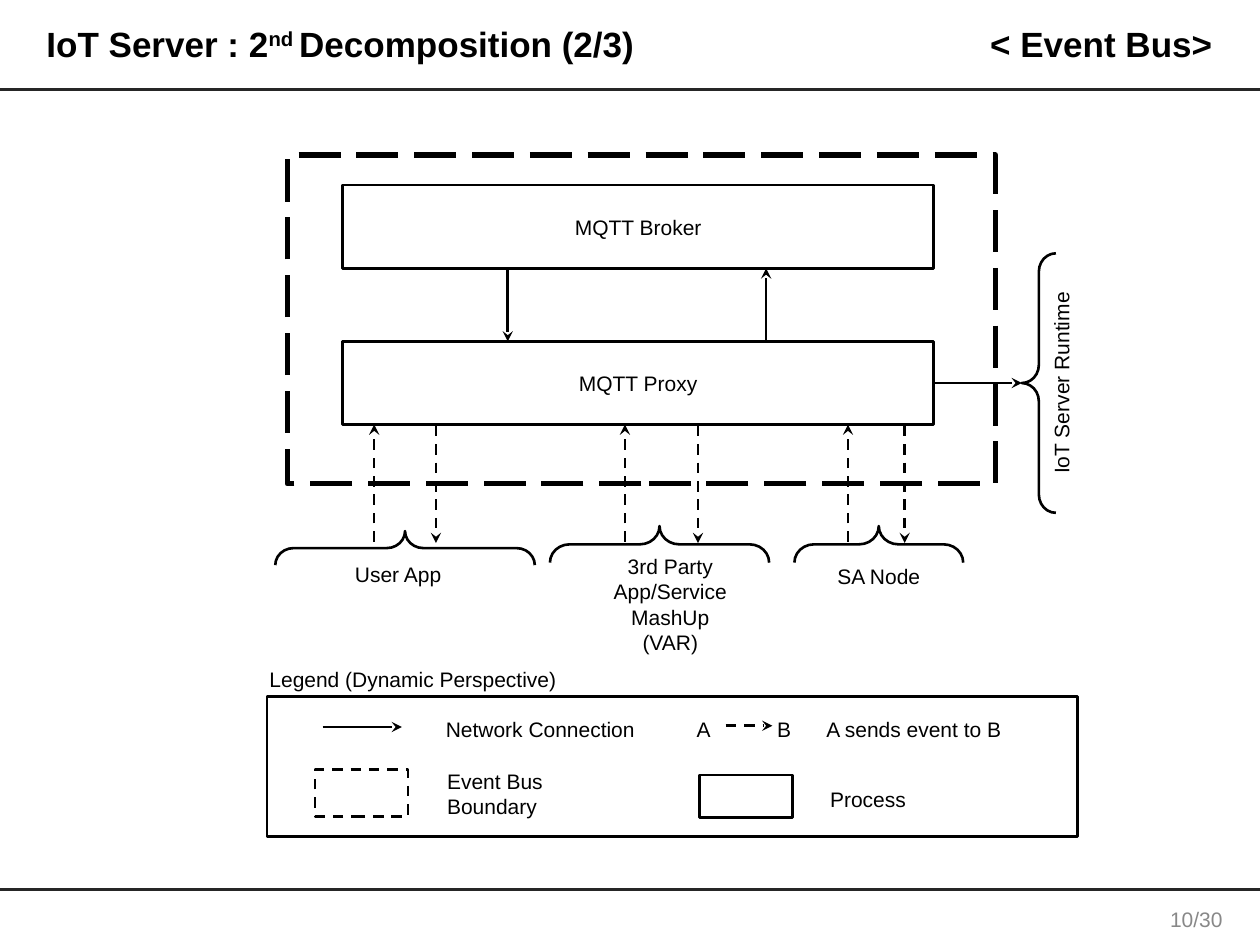
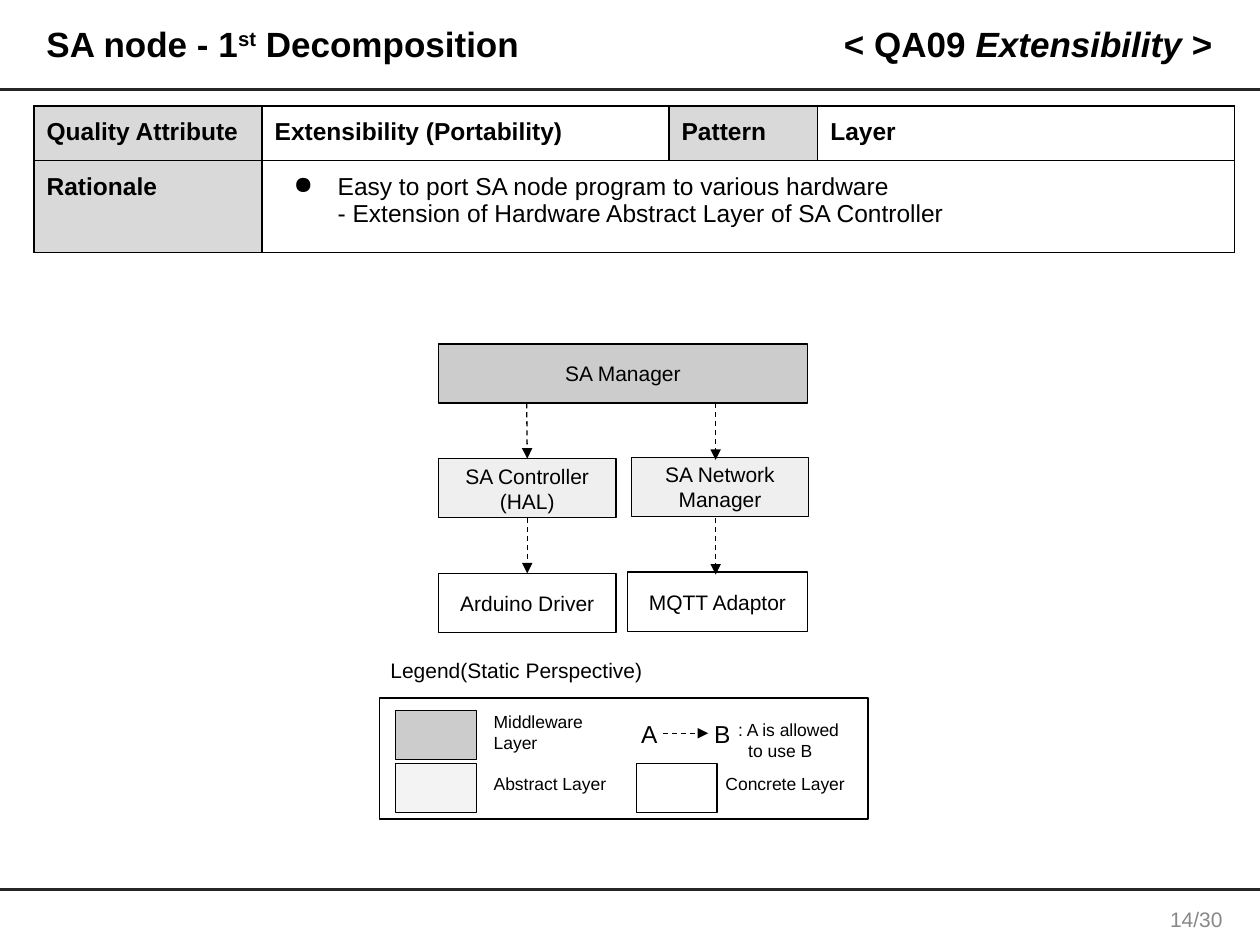
from lxml.etree import SubElement
from pptx import Presentation
from pptx.dml.color import RGBColor
from pptx.enum.dml import MSO_LINE
from pptx.enum.shapes import MSO_CONNECTOR, MSO_SHAPE
from pptx.enum.text import MSO_ANCHOR, PP_ALIGN
from pptx.oxml.ns import qn
from pptx.util import Inches, Pt

FONT = "Arial"
BLACK, WHITE, RULE, FOOTER = "000000", "FFFFFF", "262626", "888888"
MIDDLEWARE, ABSTRACT, ABSTRACT_KEY, HEADING = "CCCCCC", "EFEFEF", "F3F3F3", "D9D9D9"
LEFT, CENTER, RIGHT = PP_ALIGN.LEFT, PP_ALIGN.CENTER, PP_ALIGN.RIGHT
BOTTOM_SIDE, RIGHT_SIDE, TOP_SIDE = 2, 3, 0


def color(value):
    return RGBColor.from_string(value)


def inches(*values):
    return [Inches(value) for value in values]


def indent(para, left, first=0, bullet=None):
    """Indent a paragraph and give it a bullet if one is named."""
    props = para._p.get_or_add_pPr()
    props.set("marL", str(Inches(left)))
    props.set("indent", str(Inches(first)))
    if bullet:
        mark = SubElement(props, qn("a:buChar"))
        mark.set("char", bullet)
        defaults = props.find(qn("a:defRPr"))
        if defaults is not None:
            defaults.addprevious(mark)


class Sketch:
    """Holds the drawing style and the current slide."""

    def __init__(self, deck, line_width):
        self.line_width = line_width
        self.page = deck.slides.add_slide(deck.slide_layouts[6])

    # Frame shared by all slides
    def frame(self, title, topic, number):
        for y in (0.71, 7.06):
            self.line((0, y), (10, y), RULE, 1.75)
        self.title(0.27, 6.18, title, LEFT)
        self.title(6.5, 3.22, topic, RIGHT)
        self.text(9.11, 7.14, 0.77, 0.31, number, align=CENTER,
                  anchor=MSO_ANCHOR.MIDDLE, ink=FOOTER)

    def title(self, left, width, spans, align):
        box = self.text(left, 0.1, width, 0.53, "", 20, align, MSO_ANCHOR.MIDDLE, bold=True)
        para = box.text_frame.paragraphs[0]
        para.line_spacing = 0.9
        for words, style in spans:
            span = para.add_run()
            span.text = words
            if style == "super":
                span.font._element.set("baseline", "30000")
            elif style == "italic":
                span.font.italic = True

    # Text
    def set_text(self, frame, text, size, align, ink=BLACK, bold=False):
        """Each item of a list is a paragraph; a newline is a line break."""
        paragraphs = [text] if isinstance(text, str) else text
        for index, words in enumerate(paragraphs):
            para = frame.add_paragraph() if index else frame.paragraphs[0]
            para.text = words
            para.alignment = align
            font = para.font
            font.name, font.size, font.bold = FONT, Pt(size), bold
            font.color.rgb = color(ink)

    def fill_frame(self, frame, anchor, *args):
        frame.word_wrap = True
        frame.vertical_anchor = anchor
        frame.margin_left = frame.margin_right = Inches(0.1)
        frame.margin_top = frame.margin_bottom = Inches(0.1)
        self.set_text(frame, *args)

    def text(self, left, top, width, height, text, size=12, align=LEFT,
             anchor=MSO_ANCHOR.TOP, ink=BLACK, bold=False):
        box = self.page.shapes.add_textbox(*inches(left, top, width, height))
        self.fill_frame(box.text_frame, anchor, text, size, align, ink, bold)
        return box

    # Shapes
    def shape(self, preset, place, fill, width, dash=None):
        shape = self.page.shapes.add_shape(preset, *inches(*place))
        shape.shadow.inherit = False
        if fill:
            shape.fill.solid()
            shape.fill.fore_color.rgb = color(fill)
        else:
            shape.fill.background()
        self.stroke(shape.line, BLACK, width, dash)
        return shape

    def box(self, left, top, width, height, text="", fill=WHITE, dash=None, line_width=None):
        box = self.shape(MSO_SHAPE.RECTANGLE, (left, top, width, height), fill,
                         line_width or self.line_width, dash)
        if text:
            self.fill_frame(box.text_frame, MSO_ANCHOR.MIDDLE, text, 12, CENTER)
        return box

    def label(self, left, top, width, height, text, rotation=0):
        label = self.text(left, top, width, height, text, 12, CENTER, MSO_ANCHOR.MIDDLE)
        label.rotation = rotation

    def brace(self, left, top, width, height, rotation):
        brace = self.shape(MSO_SHAPE.RIGHT_BRACE, (left, top, width, height),
                           None, self.line_width)
        brace.adjustments[0] = 0.536
        brace.rotation = rotation

    # Lines
    def stroke(self, line, ink, width, dash=None):
        line.color.rgb = color(ink)
        line.width = Pt(width)
        if dash:
            line.dash_style = dash

    def line(self, start, end, ink=BLACK, width=None, dash=None):
        line = self.page.shapes.add_connector(MSO_CONNECTOR.STRAIGHT, *inches(*start, *end))
        self.stroke(line.line, ink, width or self.line_width, dash)
        SubElement(line._element.spPr, qn("a:effectLst"))
        return line

    def arrow(self, start, end, dashed=True, head="stealth"):
        arrow = self.line(start, end, dash=MSO_LINE.DASH if dashed else None)
        outline = arrow._element.spPr.find(qn("a:ln"))
        SubElement(outline, qn("a:tailEnd")).set("type", head)
        return arrow

    # Table
    def table(self, left, top, columns, rows, values):
        place = inches(left, top, sum(columns), sum(rows))
        table = self.page.shapes.add_table(len(rows), len(columns), *place).table
        table.first_row = table.horz_banding = False
        for column, width in zip(table.columns, columns):
            column.width = Inches(width)
        for row, height, texts in zip(table.rows, rows, values):
            row.height = Inches(height)
            for cell, (text, fill, bold) in zip(row.cells, texts):
                self.border(cell)
                cell.fill.solid()
                cell.fill.fore_color.rgb = color(fill)
                cell.margin_top = cell.margin_bottom = Inches(0.1)
                cell.margin_left = cell.margin_right = Inches(0.1)
                self.set_text(cell.text_frame, text, 14, LEFT, BLACK, bold)
        return table

    def border(self, cell):
        props = cell._tc.get_or_add_tcPr()
        for side in ("a:lnL", "a:lnR", "a:lnT", "a:lnB"):
            edge = SubElement(props, qn(side))
            edge.set("w", str(Pt(1)))
            solid = SubElement(edge, qn("a:solidFill"))
            SubElement(solid, qn("a:srgbClr")).set("val", BLACK)


def event_bus(deck):
    sketch = Sketch(deck, 1.5)
    sketch.frame([("IoT Server : 2", ""), ("nd ", "super"), ("Decomposition (2/3)", "")],
                 [("< Event Bus>", "")], "10/30")

    # Event bus with its two processes
    sketch.box(2.28, 1.23, 5.62, 2.61, fill=None, dash=MSO_LINE.LONG_DASH, line_width=3)
    sketch.box(2.72, 1.47, 4.69, 0.66, "MQTT Broker")
    proxy = sketch.box(2.72, 2.71, 4.69, 0.66, "MQTT Proxy")
    sketch.arrow((4.03, 2.13), (4.03, 2.71), dashed=False)
    sketch.arrow((6.08, 2.71), (6.08, 2.13), dashed=False)

    # Clients below
    sketch.label(1.9, 4.23, 2.52, 0.66, "User App")
    sketch.label(4.71, 4.4, 1.22, 0.79, "3rd Party App/Service MashUp\n(VAR)")
    sketch.label(6.41, 4.24, 1.13, 0.66, "SA Node")
    for left, top, width, height in ((3.08, 3.32, 0.27, 2.06), (5.09, 3.45, 0.29, 1.74),
                                     (6.83, 3.65, 0.29, 1.34)):
        sketch.brace(left, top, width, height, 270)
    for up, down in ((2.97, 3.46), (4.96, 5.54), (6.73, 7.18)):
        sketch.arrow((up, 4.3), (up, 3.37))
        sketch.arrow((down, 3.38), (down, 4.31))

    # Runtime at the right
    sketch.label(7.38, 2.87, 2.08, 0.34, "IoT Server Runtime", 270)
    sketch.brace(8.11, 2.01, 0.27, 2.06, 180)
    sketch.arrow((7.41, 3.04), (8.11, 3.04), dashed=False).begin_connect(proxy, RIGHT_SIDE)

    # Legend
    sketch.text(2.04, 5.19, 2.78, 0.29, "Legend (Dynamic Perspective)")
    sketch.box(2.12, 5.53, 6.43, 1.11, fill=None)
    sketch.arrow((2.56, 5.77), (3.19, 5.77), dashed=False)
    sketch.arrow((5.76, 5.76), (6.13, 5.76))
    sketch.box(2.5, 6.11, 0.74, 0.37, dash=MSO_LINE.DASH)
    sketch.box(5.55, 6.15, 0.74, 0.34)
    for left, top, width, words in ((3.44, 5.59, 1.99, "Network Connection"),
                                    (5.43, 5.59, 0.29, "A"), (6.07, 5.59, 0.29, "B"),
                                    (6.46, 5.59, 1.87, "A sends event to B"),
                                    (3.45, 6, 1.99, "Event Bus\nBoundary"),
                                    (6.49, 6.14, 1.6, "Process")):
        sketch.text(left, top, width, 0.37, words)


def node_layers(deck):
    sketch = Sketch(deck, 0.75)
    sketch.frame([("SA node - 1", ""), ("st", "super"), (" Decomposition", "")],
                 [("< QA09 ", ""), ("Extensibility ", "italic"), (">", "")], "14/30")

    # Quality attribute table
    reasons = ["Easy to port SA node program to various hardware",
               "- Extension of Hardware Abstract Layer of SA Controller"]
    empty = ("", WHITE, False)
    table = sketch.table(0.27, 0.84, (1.81, 3.23, 1.18, 3.31), (0.42, 0.73), [
        [("Quality Attribute", HEADING, True), ("Extensibility (Portability)", WHITE, True),
         ("Pattern", HEADING, True), ("Layer", WHITE, True)],
        [("Rationale", HEADING, True), (reasons, WHITE, False), empty, empty]])
    rationale = table.cell(1, 1)
    rationale.merge(table.cell(1, 3))
    first, second = rationale.text_frame.paragraphs
    indent(first, 0.5, -0.35, "●")
    indent(second, 0.5)

    # Layers
    sketch.box(3.48, 2.73, 2.93, 0.47, "SA Manager", MIDDLEWARE)
    controller = sketch.box(3.48, 3.64, 1.41, 0.47, ["SA Controller", "(HAL)"], ABSTRACT)
    sketch.box(5.01, 3.63, 1.41, 0.47, "SA Network\nManager", ABSTRACT)
    driver = sketch.box(3.48, 4.55, 1.41, 0.47, "Arduino Driver")
    sketch.box(4.98, 4.54, 1.43, 0.47, "MQTT Adaptor")

    # Allowed uses
    for top, bottom in ((3.2, 3.65), (4.11, 4.56)):
        sketch.arrow((5.68, top), (5.68, bottom), head="triangle")
    to_controller = sketch.arrow((4.18, 3.2), (4.18, 3.64), head="triangle")
    to_controller.end_connect(controller, TOP_SIDE)
    to_driver = sketch.arrow((4.18, 4.11), (4.18, 4.55), head="triangle")
    to_driver.begin_connect(controller, BOTTOM_SIDE)
    to_driver.end_connect(driver, TOP_SIDE)

    # Legend
    sketch.text(3, 5.12, 2.22, 0.3, "Legend(Static Perspective)")
    sketch.box(3.01, 5.54, 3.88, 0.96)
    for left, top, fill in ((3.14, 5.64, MIDDLEWARE), (3.14, 6.06, ABSTRACT_KEY),
                            (5.05, 6.06, WHITE)):
        sketch.box(left, top, 0.64, 0.39, fill=fill)
    for left, top, words in ((3.82, 5.54, "Middleware Layer"), (3.82, 6.05, "Abstract Layer"),
                             (5.66, 6.05, "Concrete Layer")):
        sketch.text(left, top, 1.17, 0.23, words, 10)
    for left, letter in ((4.99, "A"), (5.57, "B")):
        sketch.text(left, 5.61, 0.32, 0.27, letter, 14)
    sketch.arrow((5.26, 5.82), (5.62, 5.82), head="triangle")
    meaning = sketch.text(5.76, 5.61, 1.05, 0.27, [": A is allowed", "to use B"], 10)
    indent(meaning.text_frame.paragraphs[1], 0.08)


def main():
    deck = Presentation()
    deck.slide_width, deck.slide_height = inches(10, 7.5)
    event_bus(deck)
    node_layers(deck)
    deck.save("out.pptx")


if __name__ == "__main__":
    main()
